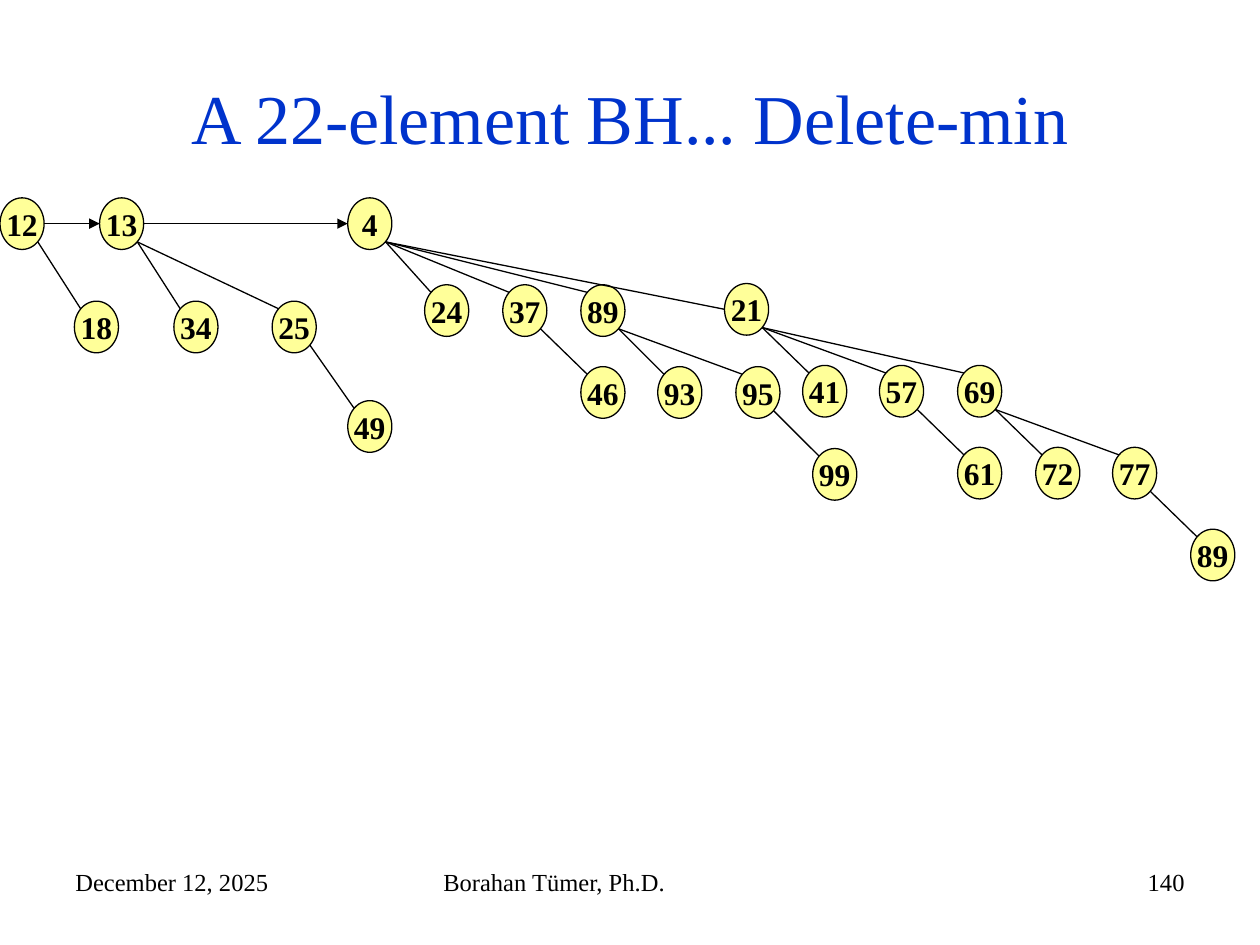
from dataclasses import dataclass

from lxml.etree import SubElement
from pptx import Presentation
from pptx.dml.color import RGBColor
from pptx.enum.shapes import MSO_CONNECTOR, MSO_SHAPE
from pptx.enum.text import MSO_ANCHOR as Anchor, PP_ALIGN as Align
from pptx.oxml.ns import qn
from pptx.slide import Slide
from pptx.text.text import TextFrame
from pptx.util import Inches, Pt

COLORS = {"title": "0033CC", "ink": "000000", "node": "FFFF99"}
FONT = "Times New Roman"
NODE_WIDTH, NODE_HEIGHT = 0.35, 0.41
EXIT_X, EXIT_Y = 0.30, 0.35
ENTRY_X, ENTRY_Y = 0.05, 0.06


@dataclass(frozen=True)
class Node:
    value: str
    left: float
    top: float
    children: tuple["Node", ...] = ()
    side_entry: bool = False


@dataclass(frozen=True)
class FooterItem:
    text: str
    left: float
    width: float
    align: Align


TREE_21 = Node("21", 5.75, 2.25, (
    Node("41", 6.37, 2.9),
    Node("57", 6.98, 2.9, (Node("61", 7.6, 3.55),)),
    Node("69", 7.6, 2.9, (
        Node("72", 8.22, 3.55),
        Node("77", 8.83, 3.55, (Node("89", 9.45, 4.2),)),
    )),
), side_entry=True)

ROOTS = (
    Node("12", 0, 1.57, (Node("18", 0.59, 2.39),)),
    Node("13", 0.79, 1.57, (
        Node("34", 1.38, 2.39),
        Node("25", 2.16, 2.39, (Node("49", 2.76, 3.18),)),
    )),
    Node("4", 2.76, 1.57, (
        Node("24", 3.37, 2.26),
        Node("37", 3.99, 2.26, (Node("46", 4.61, 2.91),)),
        Node("89", 4.61, 2.26, (
            Node("93", 5.22, 2.91),
            Node("95", 5.84, 2.91, (Node("99", 6.45, 3.56),)),
        )),
        TREE_21,
    )),
)

FOOTER = (
    FooterItem("December 12, 2025", 0.5, 2.33, Align.LEFT),
    FooterItem("Borahan Tümer, Ph.D.", 3.42, 3.17, Align.LEFT),
    FooterItem("140", 7.17, 2.33, Align.RIGHT),
)


def write(frame: TextFrame, text: str, size: float, color: str, align: Align, bold: bool = False) -> None:
    """Put one formatted run into a text frame."""
    paragraph = frame.paragraphs[0]
    paragraph.alignment = align
    run = paragraph.add_run()
    run.text = text
    run.font.name = FONT
    run.font.size = Pt(size)
    run.font.bold = bold
    run.font.color.rgb = RGBColor.from_string(COLORS[color])


def draw_line(slide: Slide, start: tuple[float, float], end: tuple[float, float], arrow: bool = False) -> None:
    """Draw a thin straight line, with an arrowhead at its end if asked."""
    connector = slide.shapes.add_connector(
        MSO_CONNECTOR.STRAIGHT, *(Inches(length) for length in start + end))
    connector.line.color.rgb = RGBColor.from_string(COLORS["ink"])
    connector.line.width = Pt(0.75)
    if arrow:
        SubElement(connector.line._get_or_add_ln(), qn("a:tailEnd"), type="triangle")
    SubElement(connector._element.spPr, qn("a:effectLst"))


def draw_node(slide: Slide, node: Node) -> None:
    """Draw one heap node as a labelled ellipse."""
    shape = slide.shapes.add_shape(
        MSO_SHAPE.OVAL, Inches(node.left), Inches(node.top), Inches(NODE_WIDTH), Inches(NODE_HEIGHT))
    shape.shadow.inherit = False
    shape.fill.solid()
    shape.fill.fore_color.rgb = RGBColor.from_string(COLORS["node"])
    shape.line.color.rgb = RGBColor.from_string(COLORS["ink"])
    shape.line.width = Pt(0.75)
    frame = shape.text_frame
    frame.word_wrap = False
    frame.vertical_anchor = Anchor.MIDDLE
    write(frame, node.value, 18, "ink", Align.CENTER, bold=True)


def draw_tree(slide: Slide, node: Node) -> None:
    """Draw a node, its edges and all its subtrees."""
    draw_node(slide, node)
    for child in node.children:
        draw_tree(slide, child)
        entry = (0, NODE_HEIGHT / 2) if child.side_entry else (ENTRY_X, ENTRY_Y)
        draw_line(slide, (node.left + EXIT_X, node.top + EXIT_Y),
                  (child.left + entry[0], child.top + entry[1]))


def draw_footer_item(slide: Slide, item: FooterItem) -> None:
    """Draw one text of the footer row."""
    box = slide.shapes.add_textbox(Inches(item.left), Inches(6.83), Inches(item.width), Inches(0.52))
    box.text_frame.word_wrap = True
    write(box.text_frame, item.text, 14, "ink", item.align)


def main() -> None:
    """Build the slide and save it."""
    presentation = Presentation()
    presentation.slide_width, presentation.slide_height = Inches(10), Inches(7.5)
    slide = presentation.slides.add_slide(presentation.slide_layouts[5])

    title = slide.shapes.title
    title.left, title.top, title.width, title.height = (Inches(length) for length in (0.5, 0.3, 9, 1.25))
    title.text_frame.vertical_anchor = Anchor.MIDDLE
    write(title.text_frame, "A 22-element BH... Delete-min", 40, "title", Align.CENTER)

    for item in FOOTER:
        draw_footer_item(slide, item)
    for root in ROOTS:
        draw_tree(slide, root)
    for root, following in zip(ROOTS, ROOTS[1:]):
        middle = root.top + NODE_HEIGHT / 2
        draw_line(slide, (root.left + NODE_WIDTH, middle), (following.left, middle), arrow=True)

    presentation.save("out.pptx")


if __name__ == "__main__":
    main()
